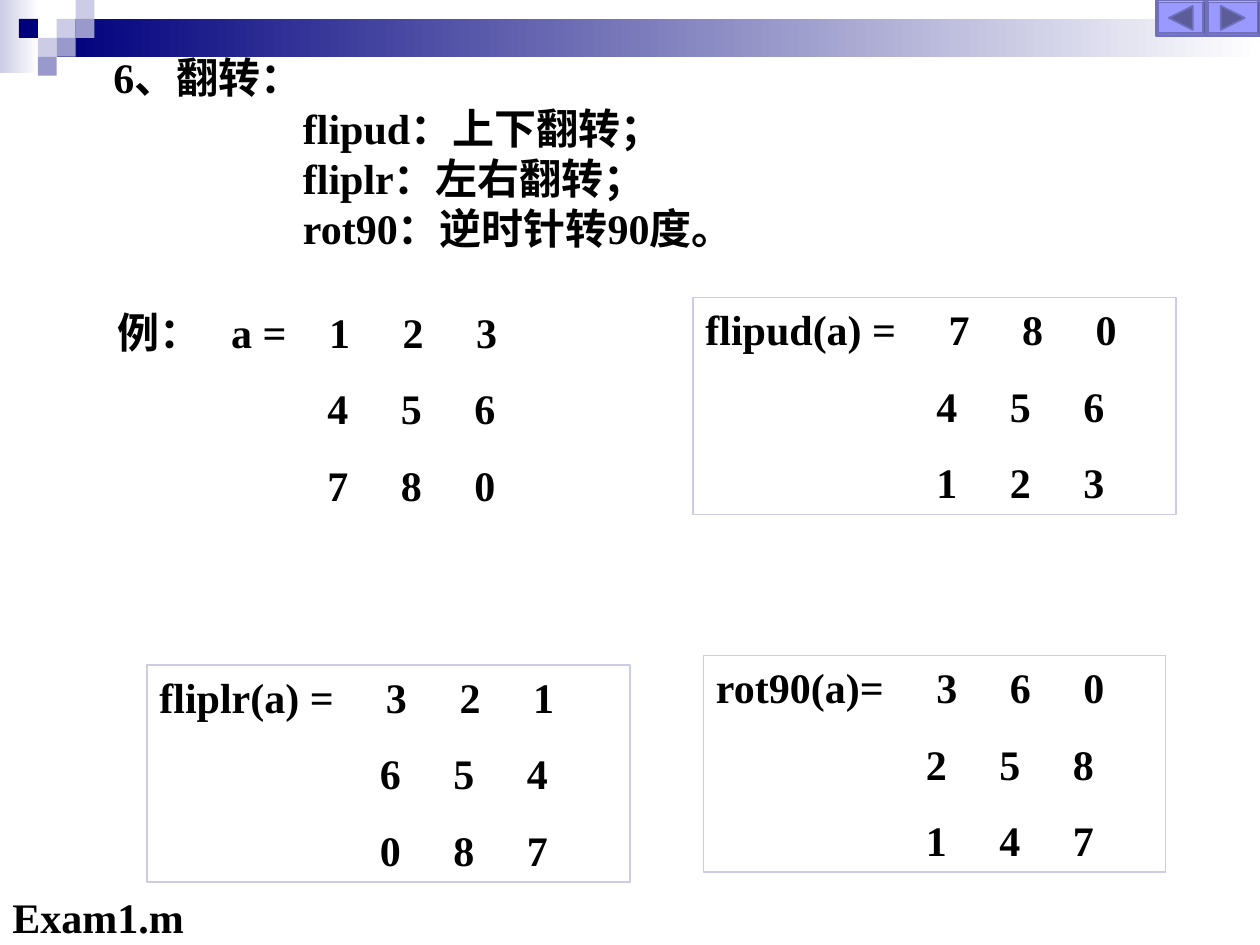
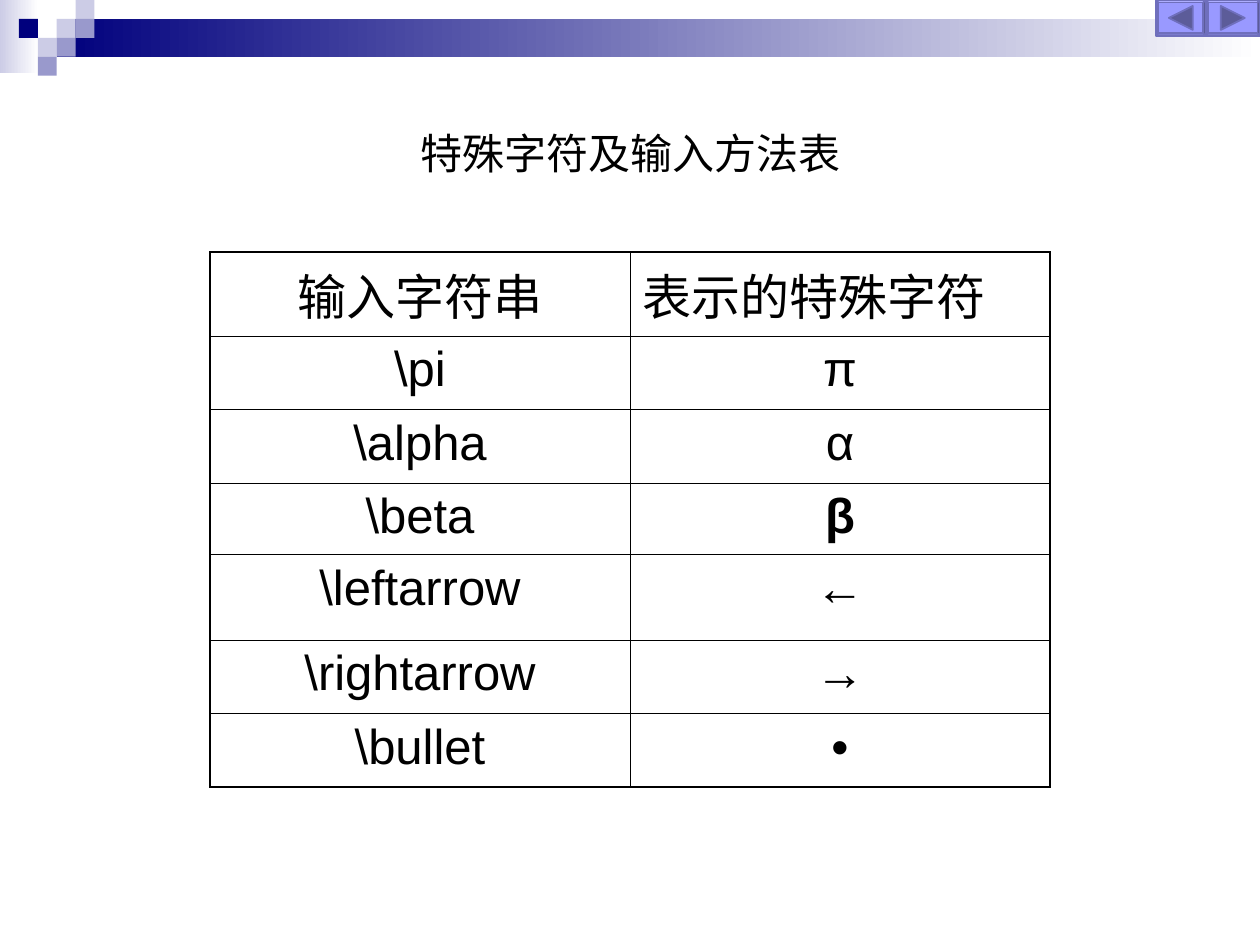
from lxml import etree
from pptx import Presentation
from pptx.dml.color import RGBColor
from pptx.enum.shapes import MSO_SHAPE
from pptx.enum.text import MSO_ANCHOR, MSO_AUTO_SIZE, PP_ALIGN
from pptx.oxml.ns import qn
from pptx.util import Pt

RECTANGLE, BEVEL = MSO_SHAPE.RECTANGLE, MSO_SHAPE.BEVEL
LEFT, CENTER = PP_ALIGN.LEFT, PP_ALIGN.CENTER
TOP, NO_AUTOFIT = MSO_ANCHOR.TOP, MSO_AUTO_SIZE.NONE
SERIF, SANS = "Times New Roman", "Arial"
BLACK, WHITE, NAVY = "000000", "FFFFFF", "00007D"
LAVENDER, PERIWINKLE = "CCCCE6", "9999CC"
BUTTON, BUTTON_EDGE, ARROW = "9999FF", "6F6FBC", "5C5C99"
TILE = 10.8
MOSAIC = [(3, 1, LAVENDER), (4, 0, LAVENDER), (4, 1, PERIWINKLE), (2, 2, LAVENDER),
          (1, 1, NAVY), (3, 2, PERIWINKLE), (2, 3, PERIWINKLE)]
LINE_PITCH, ROW_GAP, DIGIT_STEP = 28.8, 15, 42
THICK, THIN = 1.08, 0.45

COMMANDS = ["flipud：上下翻转；", "fliplr：左右翻转；", "rot90：逆时针转90度。"]
MATRICES = [
    ((396, 170, 276, 124), "flipud(a) =", ["780", "456", "123"], [139, 132, 132], [], True),
    ((402, 374.4, 264, 124), "rot90(a)=", ["360", "258", "147"], [126, 120, 120], [], True),
    ((84, 380, 276, 124), "fliplr(a) =", ["321", "654", "087"], [129.5, 126, 126], [], True),
    ((60, 171.4, 330, 124), "例：\ta =", ["123", "456", "780"], [121, 120, 120], [65], False),
]
CHARACTERS = [("输入字符串", "表示的特殊字符"), ("\\pi", "π"), ("\\alpha", "α"), ("\\beta", "β"),
              ("\\leftarrow", "←"), ("\\rightarrow", "→"), ("\\bullet", "•")]
ROW_HEIGHTS = [48, 42, 42, 41, 49, 42, 42]


def rgb(code):
    """Turn a hex string into a colour."""
    return RGBColor.from_string(code)


def points(*lengths):
    """Convert numbers to lengths in points."""
    return [Pt(length) for length in lengths]


def write(paragraph, text, size=24, font=SERIF, bold=True, align=LEFT):
    """Add one formatted run to a paragraph."""
    paragraph.alignment = align
    run = paragraph.add_run()
    run.text = text
    run.font.size, run.font.name, run.font.bold = Pt(size), font, bold
    run.font.color.rgb = rgb(BLACK)


def set_tabs(paragraph, stops):
    """Give a paragraph left tab stops, measured in points."""
    tab_list = etree.SubElement(paragraph._p.get_or_add_pPr(), qn("a:tabLst"))
    for stop in stops:
        etree.SubElement(tab_list, qn("a:tab"), pos=str(Pt(stop)), algn="l")


def add_lines(slide, box, lines, gap=0, stops=None):
    """Place a text box with one paragraph for each line."""
    block = slide.shapes.add_textbox(*points(*box))
    frame = block.text_frame
    frame.word_wrap = True
    for index, line in enumerate(lines):
        paragraph = frame.add_paragraph() if index else frame.paragraphs[0]
        if stops:
            set_tabs(paragraph, stops[index])
        paragraph.line_spacing = Pt(LINE_PITCH)
        paragraph.space_before = Pt(gap if index else 0)
        write(paragraph, line)
    return block


def add_matrix(slide, box, label, rows, starts, label_stops, framed):
    """Place a labelled matrix whose digits stand on tab stops."""
    lines, stops = [], []
    for index, (row, start) in enumerate(zip(rows, starts)):
        lines.append("\t".join(["" if index else label, *row]))
        columns = [start + DIGIT_STEP * column for column in range(len(row))]
        stops.append(columns if index else label_stops + columns)
    block = add_lines(slide, box, lines, ROW_GAP, stops)
    if framed:
        block.line.color.rgb = rgb(LAVENDER)
        block.line.width = Pt(0.75)


def set_title(slide, box, text, bold):
    """Move the title placeholder and write the title in it."""
    title = slide.shapes.title
    title.left, title.top, title.width, title.height = points(*box)
    frame = title.text_frame
    frame.word_wrap, frame.auto_size, frame.vertical_anchor = True, NO_AUTOFIT, TOP
    frame.paragraphs[0].line_spacing = Pt(LINE_PITCH)
    write(frame.paragraphs[0], text, bold=bold)


def add_block(slide, box, color, fade_to=None):
    """Draw a borderless rectangle, plain or fading to the right."""
    block = slide.shapes.add_shape(RECTANGLE, *points(*box))
    block.shadow.inherit = False
    block.line.fill.background()
    if fade_to:
        block.fill.gradient()
        block.fill.gradient_angle = 0
        for stop, code in zip(block.fill.gradient_stops, (color, fade_to)):
            stop.color.rgb = rgb(code)
    else:
        block.fill.solid()
        block.fill.fore_color.rgb = rgb(color)


def paint(shape, color):
    """Fill a button part and give it the button edge."""
    shape.shadow.inherit = False
    shape.fill.solid()
    shape.fill.fore_color.rgb = rgb(color)
    shape.line.color.rgb = rgb(BUTTON_EDGE)
    shape.line.width = Pt(1)


def add_nav_button(slide, box, direction):
    """Draw a bevelled button with an arrow pointing left (-1) or right (1)."""
    left, top, width, height = box
    button = slide.shapes.add_shape(BEVEL, *points(*box))
    button.adjustments[0] = 0.07
    paint(button, BUTTON)
    center, middle, reach = left + width / 2, top + height / 2, height / 3
    base = center - direction * reach
    outline = slide.shapes.build_freeform(*points(base, middle - reach))
    outline.add_line_segments([points(center + direction * reach, middle),
                               points(base, middle + reach)], close=True)
    paint(outline.convert_to_shape(), ARROW)


def add_header(slide):
    """Draw the fading bands, the mosaic and the navigation buttons."""
    add_block(slide, (0, 0, 22, 42), LAVENDER, WHITE)
    add_block(slide, (3 * TILE, TILE, 720 - 3 * TILE, 2 * TILE), NAVY, WHITE)
    for column, row, color in MOSAIC:
        add_block(slide, (column * TILE, row * TILE, TILE, TILE), color)
    add_nav_button(slide, (689, 0, 31, 20.5), 1)
    add_nav_button(slide, (660.5, 0, 28.5, 20.5), -1)


def set_borders(cell, widths):
    """Draw black cell borders, given left, right, top and bottom widths."""
    properties = cell._tc.get_or_add_tcPr()
    for side, width in zip("LRTB", widths):
        line = etree.SubElement(properties, qn(f"a:ln{side}"), w=str(Pt(width)))
        fill = etree.SubElement(line, qn("a:solidFill"))
        etree.SubElement(fill, qn("a:srgbClr"), val=BLACK)


def add_character_table(slide, box):
    """Place the table of input strings and their characters."""
    table = slide.shapes.add_table(len(CHARACTERS), 2, *points(*box)).table
    table.first_row = table.horz_banding = False
    last = len(CHARACTERS) - 1
    for r, (entries, height) in enumerate(zip(CHARACTERS, ROW_HEIGHTS)):
        table.rows[r].height = Pt(height)
        for c, entry in enumerate(entries):
            cell = table.cell(r, c)
            outer = (c == 0, c == 1, r == 0, r == last)
            set_borders(cell, [THICK if edge else THIN for edge in outer])
            cell.fill.background()
            write(cell.text_frame.paragraphs[0], entry, 28, SANS, entry == "β",
                  LEFT if (r, c) == (0, 1) else CENTER)


def build_flip_slide(slide):
    """Show the flip commands with an example of each."""
    add_header(slide)
    set_title(slide, (57.6, 26, 300, 36), "6、翻转：", True)
    add_lines(slide, (166, 26 + LINE_PITCH, 320, 94), COMMANDS)
    for matrix in MATRICES:
        add_matrix(slide, *matrix)
    add_lines(slide, (0, 506, 118, 36), ["Exam1.m"])


def build_character_slide(slide):
    """Show the special characters and how to enter them."""
    add_header(slide)
    set_title(slide, (233.3, 69, 264, 36), "特殊字符及输入方法表", False)
    add_character_table(slide, (120, 144, 480, sum(ROW_HEIGHTS)))


def main():
    """Build and save the presentation."""
    deck = Presentation()
    deck.slide_width, deck.slide_height = points(720, 540)
    for build in (build_flip_slide, build_character_slide):
        build(deck.slides.add_slide(deck.slide_layouts[5]))
    deck.save("out.pptx")


if __name__ == "__main__":
    main()
